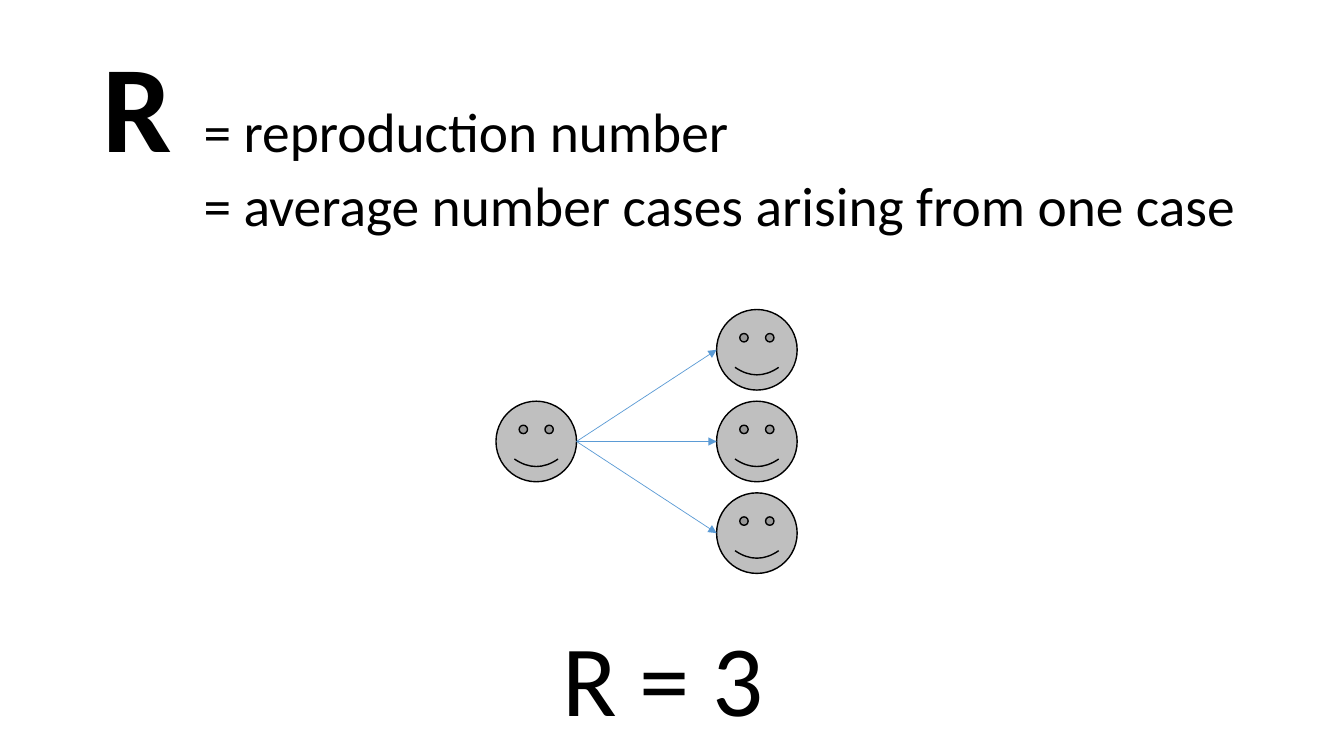
from dataclasses import dataclass

from lxml.etree import SubElement
from pptx import Presentation
from pptx.dml.color import RGBColor
from pptx.enum.shapes import MSO_CONNECTOR as Link, MSO_SHAPE as Preset
from pptx.enum.text import MSO_AUTO_SIZE as AutoSize, MSO_ANCHOR as Anchor
from pptx.oxml.ns import qn
from pptx.util import Cm, Pt


@dataclass(frozen=True)
class Theme:
    font: str = "Calibri"
    ink: RGBColor = RGBColor(0x00, 0x00, 0x00)
    face: RGBColor = RGBColor(0xBF, 0xBF, 0xBF)
    arrow: RGBColor = RGBColor(0x5B, 0x9B, 0xD5)
    symbol_size: Pt = Pt(88.2)
    definition_size: Pt = Pt(39.6)
    result_size: Pt = Pt(72)
    outline: Pt = Pt(1)
    arrow_width: Pt = Pt(0.5)


THEME = Theme()

# Layout of the transmission diagram
FACE_SIZE = Cm(2.03)
SOURCE_LEFT, CASE_LEFT = Cm(12.5), Cm(18.06)
MIDDLE_TOP, CASE_STEP = Cm(10.11), Cm(2.31)


def apply_format(target, values):
    for name, value in values.items():
        setattr(target, name, value)


def add_text_box(page, left, top, width, height, frame_format):
    box = page.shapes.add_textbox(left, top, width, height)
    apply_format(box.text_frame, frame_format)
    return box.text_frame.paragraphs[0]


def add_span(para, text, size, bold=False):
    span = para.add_run()
    span.text = text
    apply_format(span.font, {"name": THEME.font, "size": size, "bold": bold})
    span.font.color.rgb = THEME.ink


def add_tab_stop(para, position):
    stops = SubElement(para._p.get_or_add_pPr(), qn("a:tabLst"))
    SubElement(stops, qn("a:tab"), pos=str(int(position)), algn="l")


def add_face(page, left, top):
    face = page.shapes.add_shape(Preset.SMILEY_FACE, left, top, FACE_SIZE, FACE_SIZE)
    face.shadow.inherit = False
    face.fill.solid()
    face.fill.fore_color.rgb = THEME.face
    face.line.color.rgb = THEME.ink
    face.line.width = THEME.outline
    return face


def add_arrow(page, source, case):
    """Run from the right edge of the source to the left edge of the case."""
    half = FACE_SIZE // 2
    arrow = page.shapes.add_connector(
        Link.STRAIGHT, source.left + FACE_SIZE, source.top + half, case.left, case.top + half
    )
    arrow.line.color.rgb = THEME.arrow
    arrow.line.width = THEME.arrow_width
    SubElement(arrow.line._get_or_add_ln(), qn("a:tailEnd"), type="triangle")
    SubElement(arrow._element.spPr, qn("a:effectLst"))


def add_definition(page):
    para = add_text_box(
        page, Cm(2.34), Cm(1.02), Cm(31.5), Cm(6.73),
        {"word_wrap": True, "vertical_anchor": Anchor.TOP},
    )
    para.line_spacing = 0.9
    add_tab_stop(para, Cm(2.54))
    add_span(para, "R ", THEME.symbol_size, bold=True)
    add_span(para, "\t= reproduction number", THEME.definition_size)
    para.add_line_break()
    add_span(para, "\t= average number cases arising from one case", THEME.definition_size)


def add_transmission(page):
    source = add_face(page, SOURCE_LEFT, MIDDLE_TOP)
    cases = [add_face(page, CASE_LEFT, MIDDLE_TOP + row * CASE_STEP) for row in (-1, 0, 1)]
    for case in cases:
        add_arrow(page, source, case)


def add_result(page):
    para = add_text_box(
        page, Cm(13.92), Cm(15.39), Cm(5.64), Cm(3.33),
        {"word_wrap": False, "auto_size": AutoSize.SHAPE_TO_FIT_TEXT},
    )
    add_span(para, "R = 3", THEME.result_size)


def main():
    deck = Presentation()
    apply_format(deck, {"slide_width": Cm(33.87), "slide_height": Cm(19.05)})
    page = deck.slides.add_slide(deck.slide_layouts[6])

    # Definition at the top, diagram in the middle, result below
    add_definition(page)
    add_transmission(page)
    add_result(page)

    deck.save("out.pptx")


if __name__ == "__main__":
    main()
